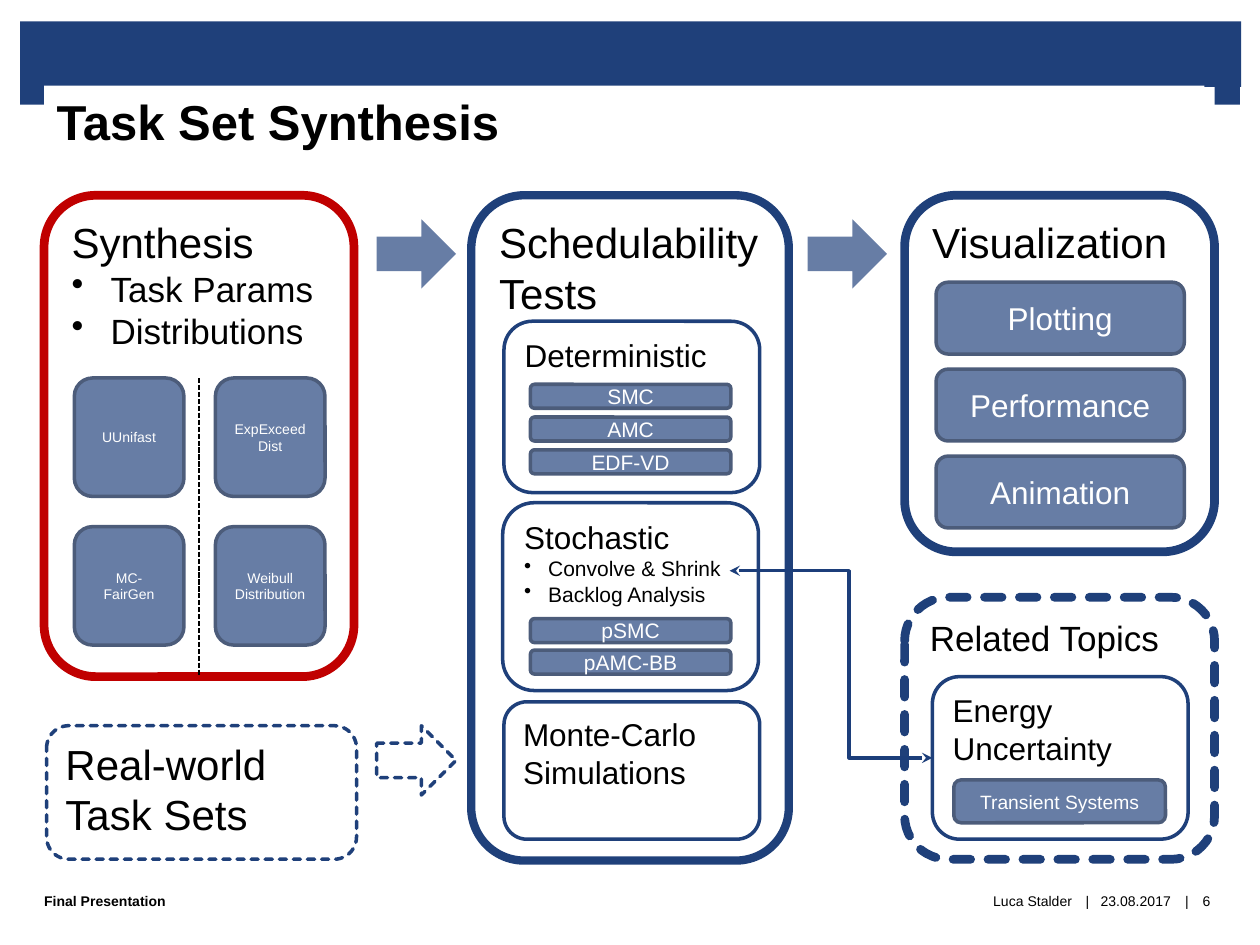
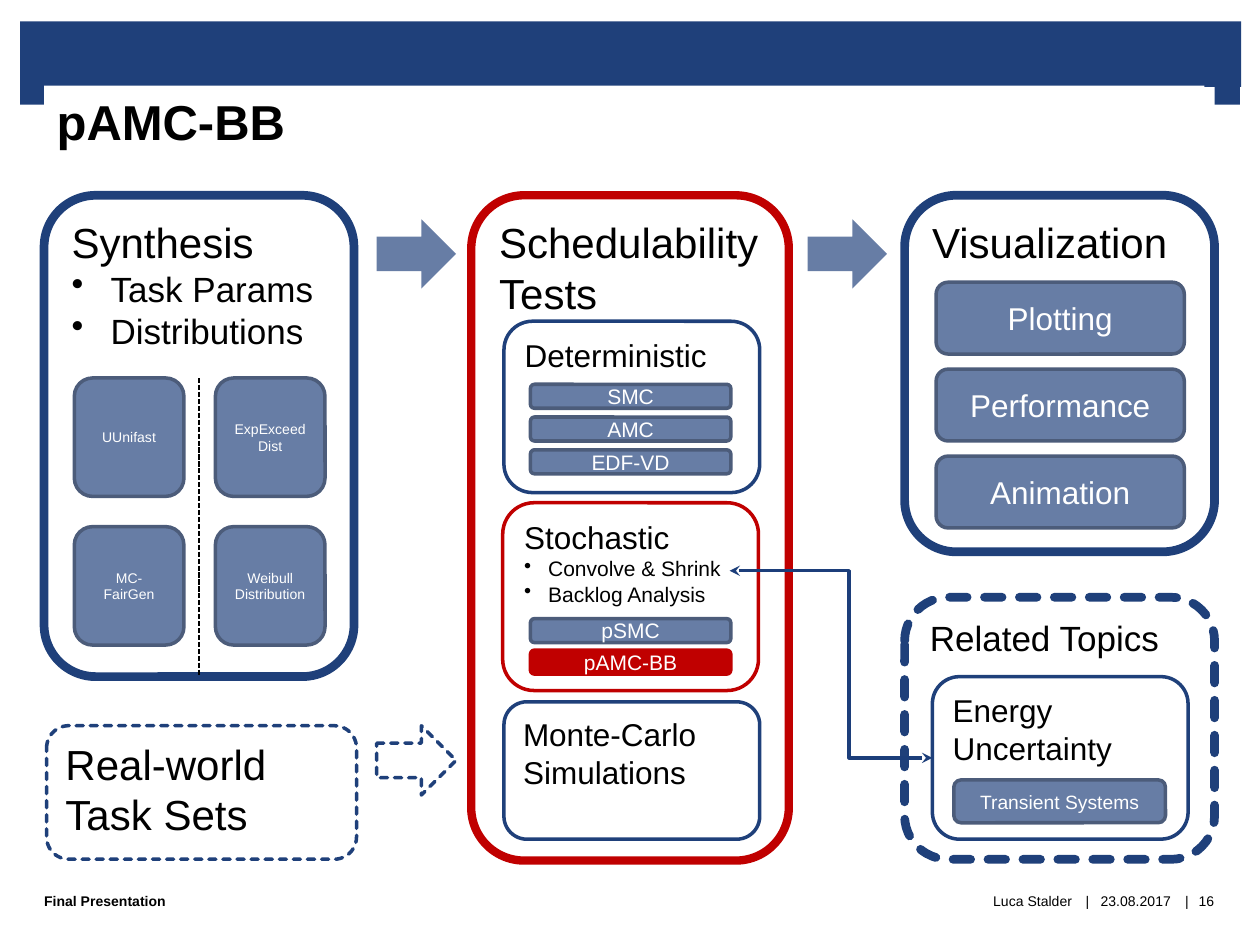
"""Build two overview slides of a scheduling framework, each highlighting its current topic."""
import dataclasses

import lxml.etree
import pptx
import pptx.dml.color
import pptx.enum.dml
import pptx.enum.shapes
import pptx.enum.text
import pptx.oxml.ns
import pptx.util

Inches = pptx.util.Inches
Pt = pptx.util.Pt
qn = pptx.oxml.ns.qn
Shape = pptx.enum.shapes.MSO_SHAPE
Connector = pptx.enum.shapes.MSO_CONNECTOR
Align = pptx.enum.text.PP_ALIGN
Anchor = pptx.enum.text.MSO_ANCHOR
SYS_DASH = pptx.enum.dml.MSO_LINE.SQUARE_DOT


@dataclasses.dataclass(frozen=True)
class Theme:
    font: str = "Arial"
    navy: str = "1F407A"
    link: str = "1C3E7A"
    steel: str = "677DA5"
    edge: str = "4C5C7A"
    red: str = "C00000"
    black: str = "000000"
    white: str = "FFFFFF"
    title: int = 28
    heading: int = 24
    subheading: int = 20
    label: int = 18
    item: int = 12
    note: int = 11
    small: int = 8


def rgb(value):
    return pptx.dml.color.RGBColor.from_string(value)


class Deck:
    def __init__(self, theme):
        self.theme = theme
        self.prs = pptx.Presentation()
        self.prs.slide_width, self.prs.slide_height = Inches(10), Inches(7.5)
        self.s = None
        self.highlights = ()

    def new_slide(self, title, number, highlights):
        t = self.theme
        self.s = self.prs.slides.add_slide(self.prs.slide_layouts[5])
        self.highlights = highlights
        for at in ((0.16, 0.17, 9.69, 0.52), (0.16, 0.65, 0.2, 0.18), (9.64, 0.65, 0.2, 0.18)):
            self.shape(Shape.RECTANGLE, at, t.navy)
        self.title(title)
        self.footer("Final Presentation", 0.35, 4.65, Align.LEFT, bold=True)
        self.footer("Luca Stalder", 0.35, 8.16, Align.RIGHT)
        self.footer("23.08.2017", 8.68, 0.67)
        self.footer(str(number), 9.43, 0.29)
        for x in (8.57, 9.36):
            self.footer("|", x, 0.12)

    def title(self, text):
        sp = self.s.shapes.title
        self.s.shapes._spTree.append(sp._element)
        sp.left, sp.top, sp.width, sp.height = map(Inches, (0.35, 0.68, 9.21, 1.06))
        sp.fill.solid()
        sp.fill.fore_color.rgb = rgb(self.theme.white)
        tf = sp.text_frame
        tf.vertical_anchor = Anchor.TOP
        self.paragraph(tf.paragraphs[0], text, self.theme.title, bold=True)

    def paragraph(self, p, text, size, color=None, align=Align.LEFT, bold=False):
        p.text = text
        p.alignment = align
        p.font.name = self.theme.font
        p.font.size = Pt(size)
        p.font.bold = bold
        p.font.color.rgb = rgb(color or self.theme.black)

    def bullet(self, p, text, size, indent):
        self.paragraph(p, text, size)
        pPr = p._p.get_or_add_pPr()
        pPr.set("marL", str(Inches(indent)))
        pPr.set("indent", str(-Inches(indent)))
        bu = lxml.etree.Element(qn("a:buChar"), char="•")
        pPr.insert_element_before(bu, "a:tabLst", "a:defRPr", "a:extLst")

    def footer(self, text, x, width, align=Align.CENTER, bold=False):
        sp = self.s.shapes.add_textbox(*map(Inches, (x, 6.9, width, 0.5)))
        tf = sp.text_frame
        tf.word_wrap = True
        tf.vertical_anchor = Anchor.MIDDLE
        tf.margin_left = tf.margin_right = tf.margin_top = tf.margin_bottom = 0
        self.paragraph(tf.paragraphs[0], text, self.theme.small, align=align, bold=bold)

    def shape(self, kind, at, fill=None, line=None, width=2, dashed=False):
        sp = self.s.shapes.add_shape(kind, *map(Inches, at))
        sp.shadow.inherit = False
        if fill:
            sp.fill.solid()
            sp.fill.fore_color.rgb = rgb(fill)
        else:
            sp.fill.background()
        if line:
            sp.line.color.rgb = rgb(line)
            sp.line.width = Pt(width)
        else:
            sp.line.fill.background()
        if dashed:
            sp.line.dash_style = SYS_DASH
            sp._element.spPr.find(qn("a:ln")).set("cap", "rnd")
        return sp

    def panel(self, text, at, size, width=2, dashed=False, bullets=(), bullet_size=None, indent=0):
        t = self.theme
        line = t.red if text in self.highlights else t.navy
        sp = self.shape(Shape.ROUNDED_RECTANGLE, at, t.white, line, width, dashed)
        tf = sp.text_frame
        tf.word_wrap = True
        tf.vertical_anchor = Anchor.TOP
        self.paragraph(tf.paragraphs[0], text, size)
        for item in bullets:
            self.bullet(tf.add_paragraph(), item, bullet_size, indent)
        return sp

    def chip(self, text, at, size):
        t = self.theme
        fill, line = (t.red, t.red) if text in self.highlights else (t.steel, t.edge)
        tf = self.shape(Shape.ROUNDED_RECTANGLE, at, fill, line).text_frame
        tf.word_wrap = True
        tf.vertical_anchor = Anchor.MIDDLE
        self.paragraph(tf.paragraphs[0], text, size, t.white, Align.CENTER)

    def chip_column(self, texts, x, y, width, height, pitch, size):
        for i, text in enumerate(texts):
            self.chip(text, (x, y + i * pitch, width, height), size)

    def connector(self, kind, start, end, color, width):
        cx = self.s.shapes.add_connector(kind, *map(Inches, start + end))
        cx.line.color.rgb = rgb(color)
        cx.line.width = Pt(width)
        lxml.etree.SubElement(cx._element.spPr, qn("a:effectLst"))
        return cx

    def divider(self, x, top, bottom):
        cx = self.connector(Connector.STRAIGHT, (x, top), (x, bottom), self.theme.black, 1)
        cx.line.dash_style = SYS_DASH

    def elbow(self, start, end, target, bend):
        cx = self.connector(Connector.ELBOW, start, end, self.theme.link, 2)
        cx.end_connect(target, 1)
        spPr = cx._element.spPr
        ln = spPr.find(qn("a:ln"))
        for tag in ("a:headEnd", "a:tailEnd"):
            lxml.etree.SubElement(ln, qn(tag), type="stealth")
        avLst = spPr.find(qn("a:prstGeom")).get_or_add_avLst()
        lxml.etree.SubElement(avLst, qn("a:gd"), name="adj1", fmla=f"val {round(bend * 100000)}")


def synthesis(deck):
    t = deck.theme
    deck.panel("Synthesis", (0.35, 1.55, 2.46, 3.82), t.heading, 5,
               bullets=("Task Params", "Distributions"), bullet_size=t.subheading, indent=0.31)
    columns = (("UUnifast", "MC-FairGen"), ("ExpExceedDist", "Weibull Distribution"))
    for x, texts in zip((0.59, 1.71), columns):
        deck.chip_column(texts, x, 3, 0.87, 0.94, 1.18, t.small)
    deck.divider(1.58, 3, 5.37)
    deck.panel("Real-world Task Sets", (0.37, 5.76, 2.46, 1.06), t.heading, dashed=True)


def schedulability(deck):
    t = deck.theme
    deck.panel("Schedulability Tests", (3.74, 1.55, 2.52, 5.28), t.heading, 4.75)
    deck.panel("Deterministic", (4, 2.55, 2.03, 1.36), t.label)
    deck.chip_column(("SMC", "AMC", "EDF-VD"), 4.21, 3.05, 1.59, 0.19, 0.26, t.item)
    deck.panel("Stochastic", (3.99, 3.99, 2.03, 1.49), t.label,
               bullets=("Convolve & Shrink", "Backlog Analysis"), bullet_size=t.item, indent=0.19)
    deck.chip_column(("pSMC", "pAMC-BB"), 4.21, 4.91, 1.59, 0.19, 0.25, t.item)
    deck.panel("Monte-Carlo Simulations", (4, 5.57, 2.03, 1.09), t.label)


def visualization(deck):
    t = deck.theme
    deck.panel("Visualization", (7.18, 1.55, 2.46, 2.83), t.heading, 5)
    deck.chip_column(("Plotting", "Performance", "Animation"), 7.43, 2.24, 1.97, 0.57, 0.69, t.label)


def related_topics(deck):
    t = deck.theme
    deck.panel("Related Topics", (7.18, 4.74, 2.46, 2.08), t.subheading, 5, dashed=True)
    energy = deck.panel("Energy Uncertainty", (7.4, 5.37, 2.03, 1.29), t.label)
    deck.chip("Transient Systems", (7.57, 6.19, 1.68, 0.34), t.note)
    deck.elbow((5.79, 4.53), (7.4, 6.01), energy, 0.59)


def flow_arrows(deck):
    t = deck.theme
    for x in (2.99, 6.41):
        deck.shape(Shape.RIGHT_ARROW, (x, 1.74, 0.63, 0.55), t.steel)
    deck.shape(Shape.RIGHT_ARROW, (2.99, 5.76, 0.63, 0.55), line=t.navy, dashed=True)


def main():
    deck = Deck(Theme())
    slides = (
        ("Task Set Synthesis", 6, ("Synthesis",)),
        ("pAMC-BB", 16, ("Schedulability Tests", "Stochastic", "pAMC-BB")),
    )
    for title, number, highlights in slides:
        deck.new_slide(title, number, highlights)
        for draw in (synthesis, schedulability, visualization, related_topics, flow_arrows):
            draw(deck)
    deck.prs.save("out.pptx")


if __name__ == "__main__":
    main()
